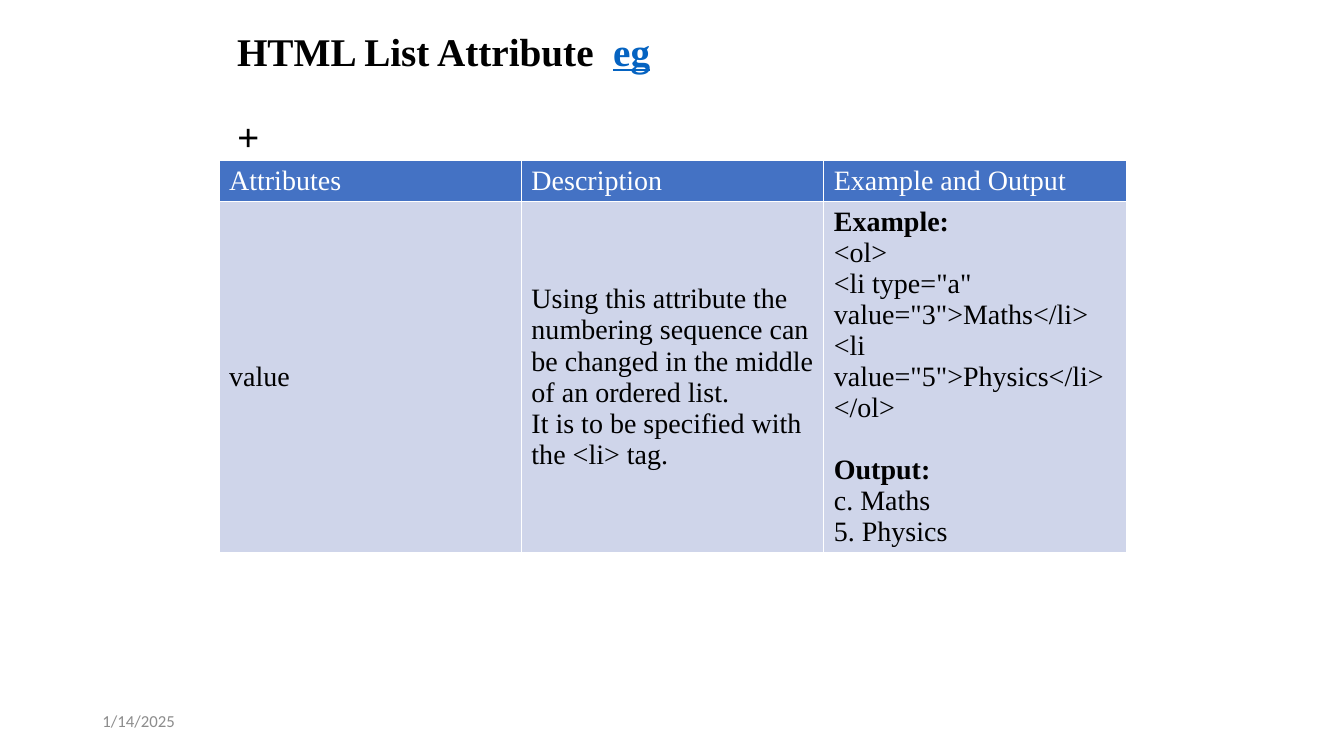
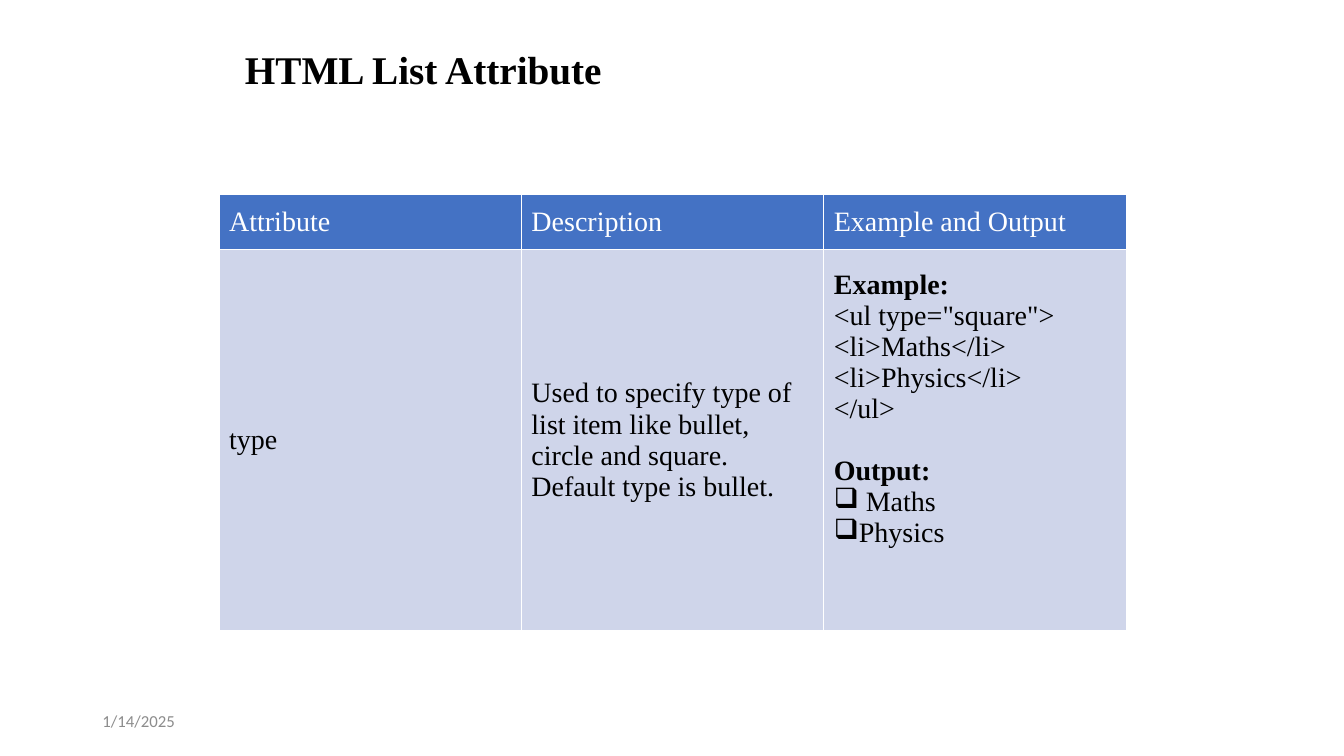
from lxml.etree import SubElement
from pptx import Presentation
from pptx.dml.color import RGBColor
from pptx.enum.text import MSO_ANCHOR, MSO_AUTO_SIZE, PP_ALIGN
from pptx.oxml.ns import qn
from pptx.util import Cm, Pt

COLORS = {
    "text": "000000",
    "link": "0563C1",
    "header": "4472C4",
    "body": "CFD5EA",
    "white": "FFFFFF",
    "date": "8C8C8C",
}
FONT = "Times New Roman"
TABLE_LEFT, COL_W = Cm(5.52), Cm(7.62)
TITLE_W = 3 * COL_W
LINE_GAP = 22
DATE = "1/14/2025"


def text(p, txt, size=20, color="text", font=FONT, bold=False, underline=False):
    """Add a formatted run to a paragraph."""
    r = p.add_run()
    r.text = txt
    f = r.font
    f.name, f.size, f.bold, f.underline = font, Pt(size), bold, underline
    f.color.rgb = RGBColor.from_string(COLORS[color])


def bullet(p, char):
    """Give a paragraph a hanging-free bullet character."""
    pPr = p._p.get_or_add_pPr()
    pPr.set("marL", "0")
    pPr.set("indent", "0")
    SubElement(pPr, qn("a:buChar"), char=char)


def border(cell, color="white", width=1):
    """Draw a line on all four sides of a cell."""
    tcPr = cell._tc.get_or_add_tcPr()
    for i, side in enumerate(("lnL", "lnR", "lnT", "lnB")):
        ln = SubElement(tcPr, qn(f"a:{side}"), w=str(Pt(width)))
        fill = SubElement(ln, qn("a:solidFill"))
        SubElement(fill, qn("a:srgbClr"), val=COLORS[color])
        tcPr.insert(i, ln)


def fill_cell(cell, lines, fill, color):
    """Write lines, each a string or a (string, options) pair, into a cell."""
    cell.vertical_anchor = MSO_ANCHOR.MIDDLE
    cell.fill.solid()
    cell.fill.fore_color.rgb = RGBColor.from_string(COLORS[fill])
    border(cell)
    tf = cell.text_frame
    for i, line in enumerate(lines):
        txt, opts = (line, {}) if isinstance(line, str) else line
        p = tf.add_paragraph() if i else tf.paragraphs[0]
        p.space_before = Pt(opts.get("gap", 0))
        if "bullet" in opts:
            bullet(p, opts["bullet"])
        text(p, txt, color=color, bold=opts.get("bold", False))


def add_attribute_table(s, top, heights, headers, cells):
    """Add a header row and one attribute row."""
    tbl = s.shapes.add_table(2, len(headers), TABLE_LEFT, top,
                             COL_W * len(headers), sum(heights)).table
    tbl.horz_banding = False
    for row, height in zip(tbl.rows, heights):
        row.height = height
    for col, (header, lines) in enumerate(zip(headers, cells)):
        tbl.columns[col].width = COL_W
        fill_cell(tbl.cell(0, col), [header], "header", "white")
        fill_cell(tbl.cell(1, col), lines, "body", "text")
    return tbl


def add_title(s, left, top, height, lines):
    """Format the title placeholder; each line is a list of (text, options)."""
    sp = s.shapes.title
    sp.left, sp.top, sp.width, sp.height = left, top, TITLE_W, height
    tf = sp.text_frame
    tf.word_wrap, tf.auto_size = True, MSO_AUTO_SIZE.NONE
    tf.vertical_anchor = MSO_ANCHOR.MIDDLE
    for i, runs in enumerate(lines):
        p = tf.add_paragraph() if i else tf.paragraphs[0]
        p.alignment, p.line_spacing = PP_ALIGN.LEFT, 0.9
        p.space_before = Pt(31 if i else 0)
        for txt, opts in runs:
            text(p, txt, size=28, bold=True, **opts)
    return tf


def add_date(s):
    """Add the date footer."""
    tf = s.shapes.add_textbox(Cm(2.33), Cm(17.65), Cm(7.62), Cm(1.02)).text_frame
    tf.word_wrap, tf.vertical_anchor = True, MSO_ANCHOR.MIDDLE
    text(tf.paragraphs[0], DATE, size=12, color="date", font="Calibri")


def add_value_slide(s):
    """Build the slide on the value attribute."""
    tf = add_title(s, Cm(5.72), Cm(0), Cm(2.62), [
        [("HTML List Attribute  ", {}), ("eg", {"color": "link", "underline": True})],
        [("+", {})],
    ])
    tf.vertical_anchor, tf.margin_top = MSO_ANCHOR.TOP, Cm(0.81)
    add_attribute_table(
        s, Cm(4.03), (Cm(1.04), Cm(8.85)),
        ("Attributes", "Description", "Example and Output"),
        (["value"],
         ["Using this attribute the numbering sequence can be changed "
          "in the middle of an ordered list.",
          "It is to be specified with the <li> tag."],
         [("Example:", {"bold": True}), "<ol>",
          '<li type="a" value="3">Maths</li>',
          '<li value="5">Physics</li>', "</ol>",
          ("Output:", {"bold": True, "gap": LINE_GAP}),
          "c. Maths", "5. Physics"]))


def add_type_slide(s):
    """Build the slide on the type attribute."""
    add_title(s, Cm(5.92), Cm(1.07), Cm(1.47), [[("HTML List Attribute", {})]])
    tbl = add_attribute_table(
        s, Cm(4.89), (Cm(1.39), Cm(9.62)),
        ("Attribute", "Description", "Example and Output"),
        (["type"],
         ["Used to specify type of list item like bullet, circle and square.",
          "Default type is bullet."],
         [("Example:", {"bold": True}), '<ul type="square">',
          "<li>Maths</li>", "<li>Physics</li>", "</ul>",
          ("Output:", {"bold": True, "gap": LINE_GAP}),
          (" Maths", {"bullet": "❑"}), ("Physics", {"bullet": "❑"})]))
    tbl.cell(1, 2).margin_bottom = Cm(1.69)


def main():
    """Build and save the presentation."""
    prs = Presentation()
    prs.slide_width, prs.slide_height = Cm(33.87), Cm(19.05)
    for build in (add_value_slide, add_type_slide):
        s = prs.slides.add_slide(prs.slide_layouts[5])
        build(s)
        add_date(s)
    prs.save("out.pptx")


if __name__ == "__main__":
    main()
